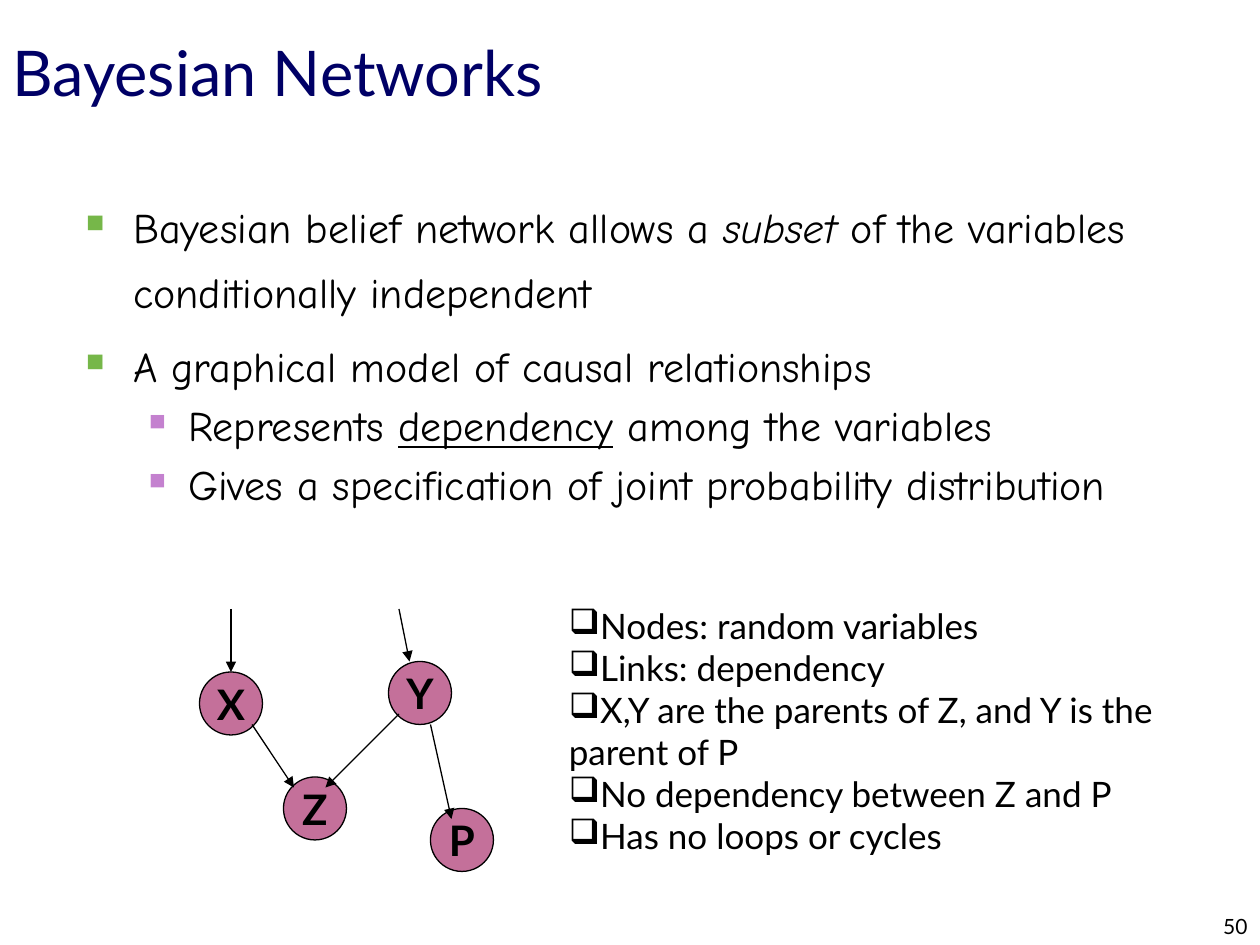
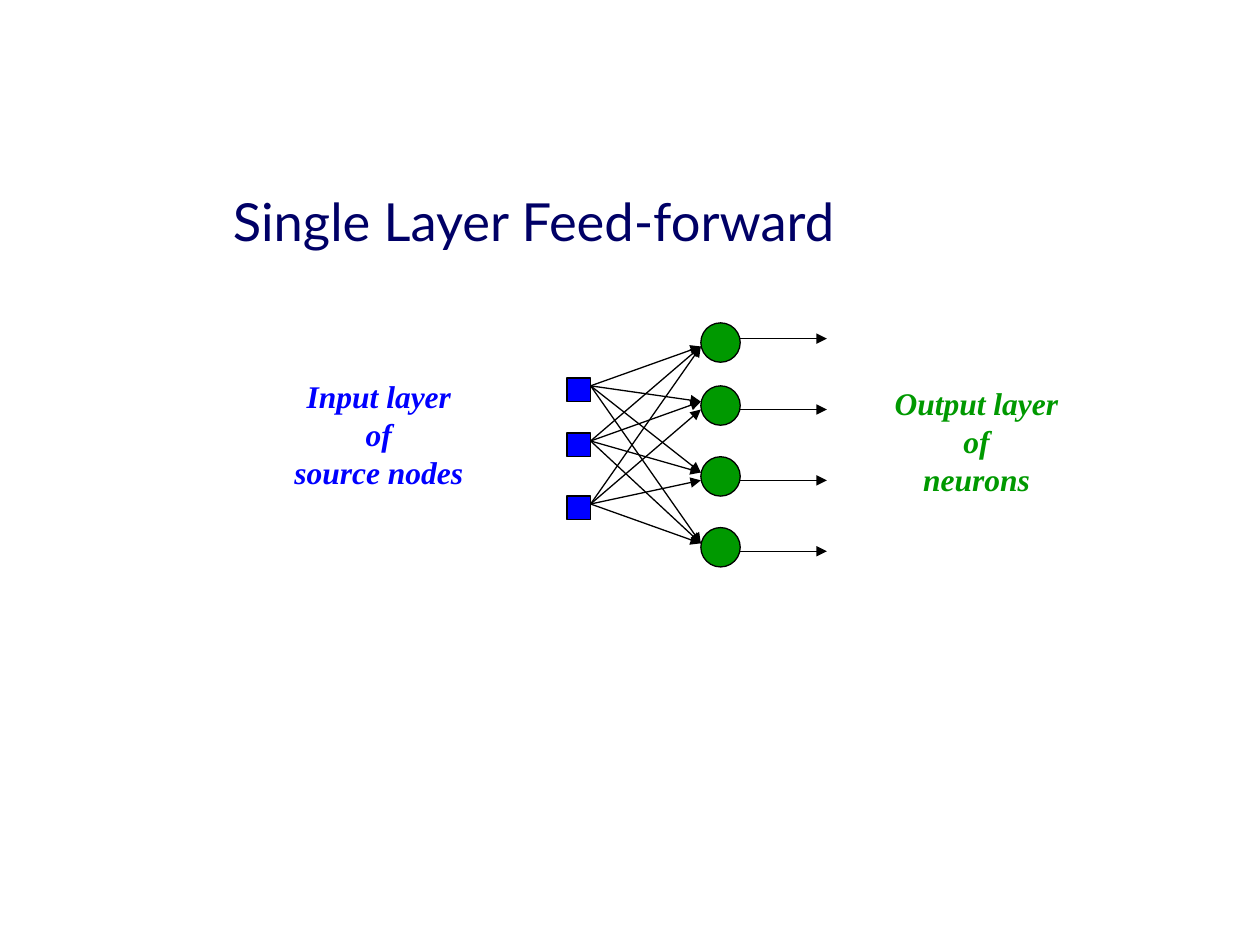
from dataclasses import dataclass
from typing import Optional

from lxml import etree
from pptx import Presentation
from pptx.dml.color import RGBColor
from pptx.enum.shapes import MSO_CONNECTOR, MSO_SHAPE
from pptx.enum.text import MSO_ANCHOR, PP_ALIGN
from pptx.oxml.ns import qn
from pptx.slide import Slide
from pptx.text.text import TextFrame
from pptx.util import Pt

STRAIGHT = MSO_CONNECTOR.STRAIGHT
NODE, NEURON, SOURCE = MSO_SHAPE.FLOWCHART_CONNECTOR, MSO_SHAPE.OVAL, MSO_SHAPE.RECTANGLE
TOP, MIDDLE, BOTTOM = MSO_ANCHOR.TOP, MSO_ANCHOR.MIDDLE, MSO_ANCHOR.BOTTOM
LEFT, CENTER, RIGHT = PP_ALIGN.LEFT, PP_ALIGN.CENTER, PP_ALIGN.RIGHT

BLACK, NAVY, PINK = "000000", "000066", "C4709A"
BLUE, GREEN = "0000FF", "009900"
LATO, COMIC, TIMES = "Lato", "Comic Neue", "Times New Roman"
STROKE = 0.75


@dataclass(frozen=True)
class Box:
    left: float
    top: float
    width: float
    height: float


@dataclass(frozen=True)
class Style:
    font: str
    size: float
    color: str = BLACK
    bold: bool = False
    italic: bool = False


@dataclass(frozen=True)
class Span:
    text: str
    style: Style
    italic: bool = False
    underline: bool = False


@dataclass(frozen=True)
class Bullet:
    char: str
    margin: float = 0
    hanging: float = 0
    color: Optional[str] = None
    percent: int = 100
    level: int = 0
    line_spacing: float = 1.0
    space_before: float = 0


@dataclass(frozen=True)
class Line:
    spans: tuple[Span, ...]
    bullet: Optional[Bullet] = None
    align: PP_ALIGN = LEFT


@dataclass(frozen=True)
class Arrow:
    x1: float
    y1: float
    x2: float
    y2: float


@dataclass(frozen=True)
class Variable:
    name: str
    left: float
    top: float


TITLE = Style(LATO, 36, NAVY)
LAYER_TITLE = Style(LATO, 30, NAVY)
PAGE_NUMBER = Style(LATO, 12)
BODY = Style(COMIC, 24)
NOTE = Style(LATO, 20)
VARIABLE = Style(LATO, 24, bold=True)

MAIN_POINT = Bullet("■", 27, 27, "76B749", 60, 0, 1.3, 4.8)
SUB_POINT = Bullet("■", 58.5, 22.5, "C481CF", 55, 1, 1.0, 4.8)
CHECKBOX = Bullet("❑")

BELIEF_POINTS = (
    Line((
        Span("Bayesian belief network allows a ", BODY),
        Span("subset", BODY, italic=True),
        Span(" of the variables conditionally independent", BODY),
    ), MAIN_POINT),
    Line((Span("A graphical model of causal relationships", BODY),), MAIN_POINT),
    Line((
        Span("Represents ", BODY),
        Span("dependency", BODY, underline=True),
        Span(" among the variables", BODY),
    ), SUB_POINT),
    Line((Span("Gives a specification of joint probability distribution", BODY),), SUB_POINT),
)
GRAPH_NOTES = (
    "Nodes: random variables",
    "Links: dependency",
    "X,Y are the parents of Z, and Y is the parent of P",
    "No dependency between Z and P",
    "Has no loops or cycles",
)
VARIABLE_SIZE = 36
VARIABLES = (
    Variable("X", 114, 384),
    Variable("Y", 222, 378),
    Variable("Z", 162, 444),
    Variable("P", 246, 462),
)
DEPENDENCIES = (
    Arrow(144, 414, 168, 450),
    Arrow(228, 408, 186, 450),
    Arrow(246, 414, 258, 468),
    Arrow(132, 348, 132, 384),
    Arrow(228, 348, 234, 378),
)

SOURCE_LEFT, SOURCE_SIZE = 324, 13.5
SOURCE_TOPS = (216, 247.5, 283.5)
NEURON_LEFT, NEURON_SIZE = 400.5, 22.5
NEURON_TOPS = (184.5, 220.5, 261, 301.5)
UPPER_ENTRIES = (198, 229.5, 270, 310.5)
LOWEST_ENTRIES = (198, 234, 274.5, 310.5)
OUTPUT_TOP, OUTPUT_PITCH, OUTPUT_LENGTH = 193.5, 40.5, 49.5


def rgb(value: str) -> RGBColor:
    return RGBColor.from_string(value)


def add_bullet(paragraph, bullet: Bullet) -> None:
    properties = paragraph._p.get_or_add_pPr()
    properties.set("marL", str(Pt(bullet.margin)))
    properties.set("indent", str(-Pt(bullet.hanging)))
    if bullet.color:
        color = etree.SubElement(properties, qn("a:buClr"))
        etree.SubElement(color, qn("a:srgbClr"), val=bullet.color)
    etree.SubElement(properties, qn("a:buSzPct"), val=str(bullet.percent * 1000))
    etree.SubElement(properties, qn("a:buChar"), char=bullet.char)
    paragraph.level = bullet.level
    paragraph.line_spacing = bullet.line_spacing


def write(frame: TextFrame, lines: tuple[Line, ...]) -> None:
    for index, line in enumerate(lines):
        paragraph = frame.paragraphs[0] if index == 0 else frame.add_paragraph()
        paragraph.alignment = line.align
        if line.bullet:
            add_bullet(paragraph, line.bullet)
            if index:
                paragraph.space_before = Pt(line.bullet.space_before)
        for span in line.spans:
            run = paragraph.add_run()
            run.text = span.text
            run.font.name = span.style.font
            run.font.size = Pt(span.style.size)
            run.font.color.rgb = rgb(span.style.color)
            run.font.bold = span.style.bold
            run.font.italic = span.italic or span.style.italic
            run.font.underline = span.underline


def add_text(slide: Slide, box: Box, lines: tuple[Line, ...],
             anchor: MSO_ANCHOR = TOP, wrap: bool = True) -> None:
    frame = slide.shapes.add_textbox(
        Pt(box.left), Pt(box.top), Pt(box.width), Pt(box.height)).text_frame
    frame.word_wrap = wrap
    frame.vertical_anchor = anchor
    write(frame, lines)


def add_title(slide: Slide, box: Box, *spans: Span) -> None:
    add_text(slide, box, (Line(spans),), BOTTOM)


def add_node(slide: Slide, kind: MSO_SHAPE, left: float, top: float,
             size: float, fill: str, label: str = "") -> None:
    node = slide.shapes.add_shape(kind, Pt(left), Pt(top), Pt(size), Pt(size))
    node.shadow.inherit = False
    node.fill.solid()
    node.fill.fore_color.rgb = rgb(fill)
    node.line.color.rgb = rgb(BLACK)
    node.line.width = Pt(STROKE)
    if label:
        node.text_frame.word_wrap = False
        node.text_frame.vertical_anchor = MIDDLE
        write(node.text_frame, (Line((Span(label, VARIABLE),), align=CENTER),))


def add_arrow(slide: Slide, arrow: Arrow) -> None:
    link = slide.shapes.add_connector(
        STRAIGHT, Pt(arrow.x1), Pt(arrow.y1), Pt(arrow.x2), Pt(arrow.y2))
    link.line.color.rgb = rgb(BLACK)
    link.line.width = Pt(STROKE)
    properties = link.element.spPr
    etree.SubElement(properties.find(qn("a:ln")), qn("a:tailEnd"), type="triangle")
    etree.SubElement(properties, qn("a:effectLst"))


def add_layer_label(slide: Slide, box: Box, color: str, *texts: str) -> None:
    style = Style(TIMES, 18, color, bold=True, italic=True)
    add_text(slide, box, tuple(Line((Span(text, style),), align=CENTER) for text in texts),
             wrap=False)


def build_bayesian_networks(slide: Slide) -> None:
    add_text(slide, Box(570, 510, 150, 30),
             (Line((Span("50", PAGE_NUMBER),), align=RIGHT),), BOTTOM)
    add_title(slide, Box(0, 0, 720, 66), Span("Bayesian Networks", TITLE))
    add_text(slide, Box(42, 103, 648, 407), BELIEF_POINTS)
    for variable in VARIABLES:
        add_node(slide, NODE, variable.left, variable.top, VARIABLE_SIZE, PINK, variable.name)
    for dependency in DEPENDENCIES:
        add_arrow(slide, dependency)
    add_text(slide, Box(318, 342, 389, 151),
             tuple(Line((Span(note, NOTE),), CHECKBOX) for note in GRAPH_NOTES))


def build_single_layer(slide: Slide) -> None:
    add_title(slide, Box(126, 90, 459, 58.5),
              Span("Single Layer Feed-forward", LAYER_TITLE), Span(" ", TITLE))
    add_layer_label(slide, Box(161, 212, 111, 73), BLUE, "Input layer", "of", "source nodes")
    add_layer_label(slide, Box(504, 216, 108, 73), GREEN, "Output layer", "of", "neurons")
    for top in NEURON_TOPS:
        add_node(slide, NEURON, NEURON_LEFT, top, NEURON_SIZE, GREEN)
    for top in SOURCE_TOPS:
        add_node(slide, SOURCE, SOURCE_LEFT, top, SOURCE_SIZE, BLUE)
        entries = LOWEST_ENTRIES if top == SOURCE_TOPS[-1] else UPPER_ENTRIES
        for entry in entries:
            add_arrow(slide, Arrow(SOURCE_LEFT + SOURCE_SIZE, top + 4.5, NEURON_LEFT, entry))
    output_left = NEURON_LEFT + NEURON_SIZE
    for index in range(len(NEURON_TOPS)):
        y = OUTPUT_TOP + index * OUTPUT_PITCH
        add_arrow(slide, Arrow(output_left, y, output_left + OUTPUT_LENGTH, y))


def main() -> None:
    deck = Presentation()
    deck.slide_width, deck.slide_height = Pt(720), Pt(540)
    blank = deck.slide_layouts[6]
    for build in (build_bayesian_networks, build_single_layer):
        build(deck.slides.add_slide(blank))
    deck.save("out.pptx")


if __name__ == "__main__":
    main()
